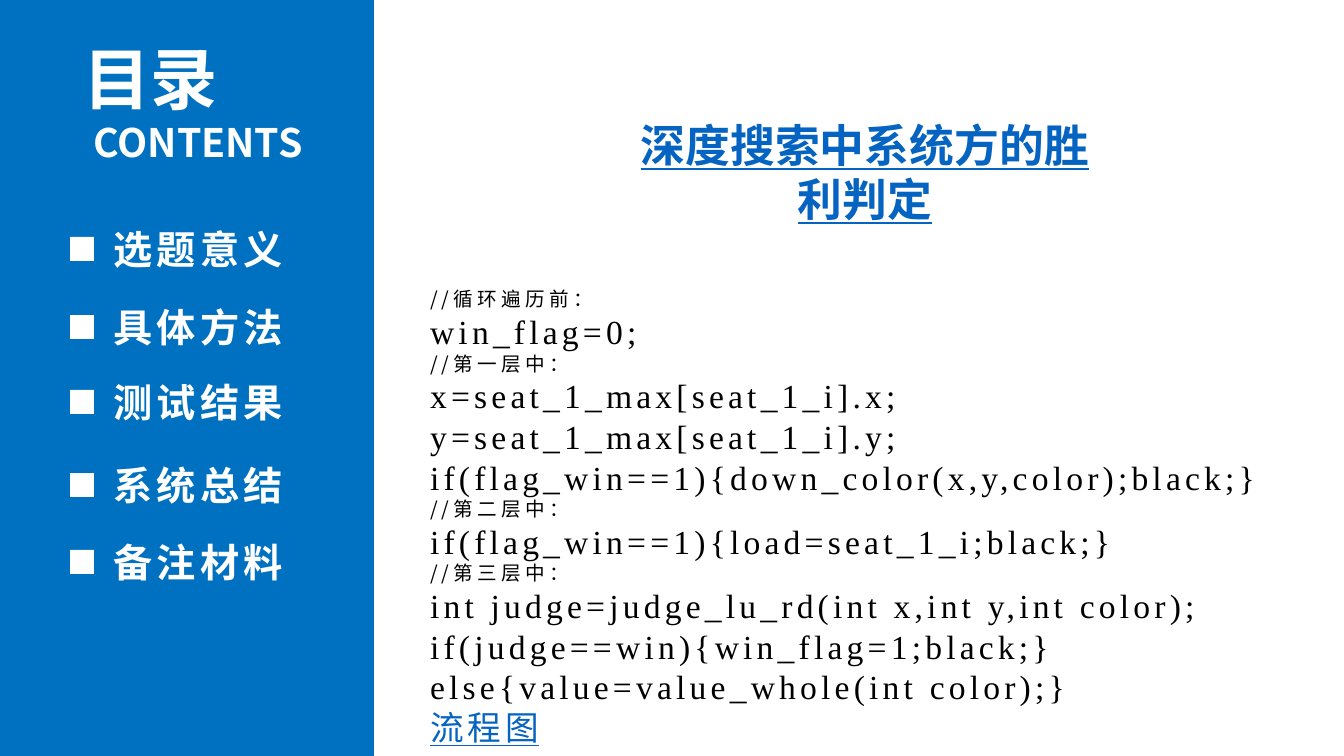
from lxml import etree
from pptx import Presentation
from pptx import util as u
from pptx.dml.color import RGBColor
from pptx.enum import shapes, text
from pptx.oxml.ns import qn

SCALE = 914400 / 100.8
CHINESE_FONT = "Noto Sans CJK SC"
CODE_FONT = "Times New Roman"
WHITE, BLACK, BLUE, LINK = "FFFFFF", "000000", "0071C1", "0563C1"
LINE_FACTOR = 1.21
MARKER_SIZE = 24

TITLE = "深度搜索中系统方的胜利判定"
MENU = {"选题意义": 220, "具体方法": 298, "测试结果": 373, "系统总结": 456, "备注材料": 533}
CODE_LINES = [
    "//循环遍历前：",
    "win_flag=0;",
    "//第一层中：",
    "x=seat_1_max[seat_1_i].x;",
    "y=seat_1_max[seat_1_i].y;",
    "if(flag_win==1){down_color(x,y,color);black;}",
    "//第二层中：",
    "if(flag_win==1){load=seat_1_i;black;}",
    "//第三层中：",
    "int judge=judge_lu_rd(int x,int y,int color);",
    "if(judge==win){win_flag=1;black;}",
    "else{value=value_whole(int color);}",
]
FLOWCHART = "流程图"

HEADING = {"size": 32, "bold": True, "color": LINK, "underline": True}
COMMENT = {"size": 14}
CODE = {"size": 24, "name": CODE_FONT}
FLOWCHART_LINK = {**CODE, "color": LINK, "underline": True}
MENU_TITLE = {"size": 48, "bold": True, "color": WHITE}
MENU_ITEM = {"size": 28, "bold": True, "color": WHITE}


def px(length):
    """Turn pixels into EMU."""
    return u.Emu(round(length * SCALE))


def rgb(value):
    """Turn a hex string into a colour."""
    return RGBColor.from_string(value)


def place(shape, box):
    """Move a shape to a box given in pixels."""
    for name, length in zip(("left", "top", "width", "height"), box):
        setattr(shape, name, px(length))


def write(shape, lines, align, tracking=0):
    """Fill a shape with (words, format) lines."""
    frame = shape.text_frame
    for name, value in {"word_wrap": True, "auto_size": text.MSO_AUTO_SIZE.NONE,
                        "vertical_anchor": text.MSO_ANCHOR.TOP}.items():
        setattr(frame, name, value)
    for index, (words, style) in enumerate(lines):
        paragraph = frame.add_paragraph() if index else frame.paragraphs[0]
        values = {"name": CHINESE_FONT, "color": BLACK, "bold": False, **style}
        spacing = u.Pt(round(values["size"] * LINE_FACTOR, 1))
        for name, value in {"alignment": align, "line_spacing": spacing,
                            "space_before": u.Pt(0), "space_after": u.Pt(0)}.items():
            setattr(paragraph, name, value)
        properties = paragraph._p.get_or_add_pPr()
        properties.set("marL", "0")
        properties.set("indent", "0")
        etree.SubElement(properties, qn("a:buNone"))
        run = paragraph.add_run()
        run.text = words
        run.font.color.rgb = rgb(values.pop("color"))
        values["size"] = u.Pt(values["size"])
        for name, value in values.items():
            setattr(run.font, name, value)
        run_properties = run._r.get_or_add_rPr()
        run_properties.set("spc", str(tracking * 100))
        etree.SubElement(run_properties, qn("a:ea"), typeface=CHINESE_FONT)


def add_block(slide, box, color):
    """Draw a plain filled rectangle."""
    shape = slide.shapes.add_shape(shapes.MSO_SHAPE.RECTANGLE, *map(px, box))
    shape.shadow.inherit = False
    shape.fill.solid()
    shape.fill.fore_color.rgb = rgb(color)
    shape.line.fill.background()


def add_label(slide, box, words, style, tracking=0):
    """Add one centred line of text."""
    label = slide.shapes.add_textbox(*map(px, box))
    write(label, [(words, style)], text.PP_ALIGN.CENTER, tracking)


def add_sidebar(slide, box):
    """Draw the contents panel with its menu."""
    left, top, width, height = box
    add_block(slide, box, BLUE)
    add_label(slide, (left + 48, top + 32, 205, 92), "目录", MENU_TITLE)
    add_label(slide, (left + 70, top + 113, 256, 57), "CONTENTS", MENU_ITEM)
    for words, offset in MENU.items():
        add_label(slide, (left + 98, top + offset, 200, 57), words, MENU_ITEM, 3)
        add_block(slide, (left + 70, top + offset + 17, MARKER_SIZE, MARKER_SIZE), WHITE)


def add_content(slide, box):
    """Place the heading and the code listing."""
    left, top, width, height = box
    title, body = slide.placeholders
    place(title, (left + 195, top + 3, 500, 119))
    write(title, [(TITLE, HEADING)], text.PP_ALIGN.CENTER)
    place(body, (left, top + 173, width, height - 173))
    lines = [(line, COMMENT if line.startswith("//") else CODE) for line in CODE_LINES]
    write(body, lines + [(FLOWCHART, FLOWCHART_LINK)], text.PP_ALIGN.LEFT, 3)


def main():
    """Build and save the slide."""
    presentation = Presentation()
    presentation.slide_width, presentation.slide_height = px(1344), px(756)
    slide = presentation.slides.add_slide(presentation.slide_layouts[1])
    add_content(slide, (420, 109, 908, 645))
    add_sidebar(slide, (0, 0, 374, 756))
    presentation.save("out.pptx")


if __name__ == "__main__":
    main()
